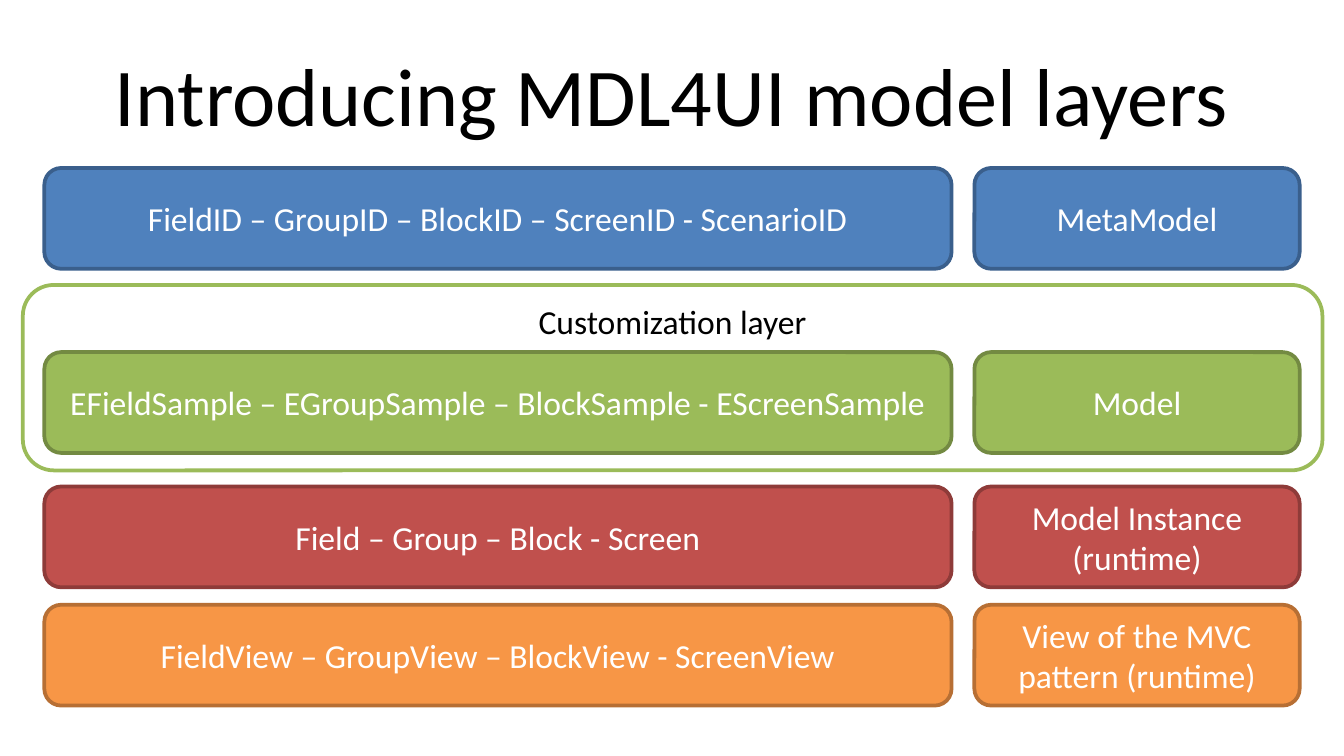
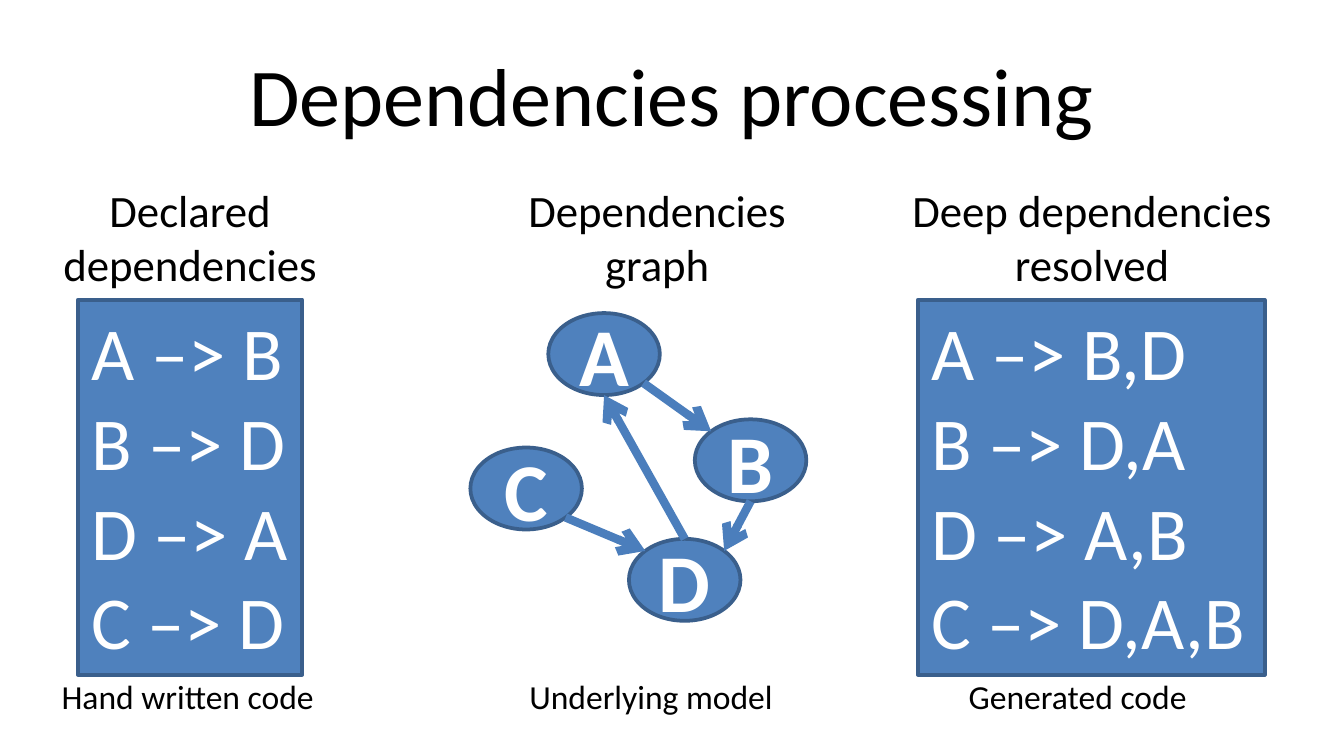
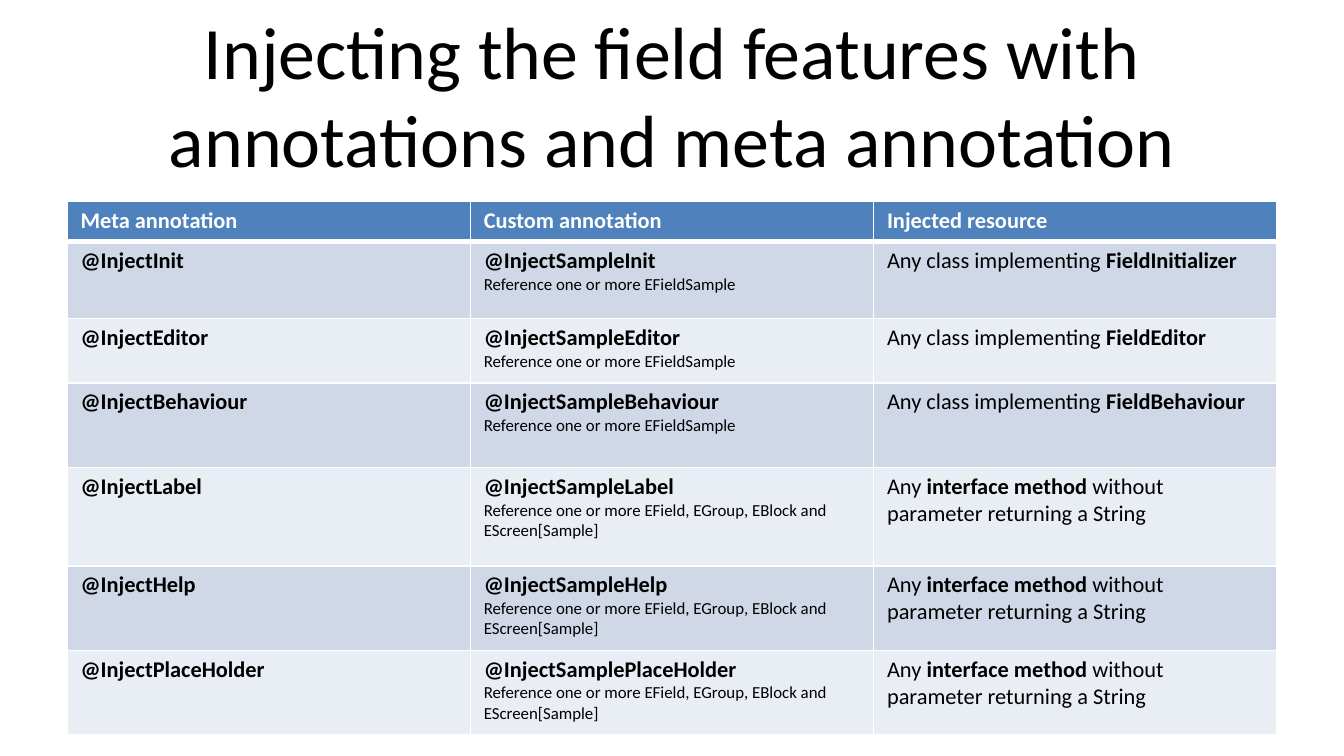
from dataclasses import dataclass
from math import cos, radians, sin

from lxml.etree import SubElement
from pptx import Presentation
from pptx.dml.color import RGBColor as Color
from pptx.enum.shapes import MSO_CONNECTOR as Connector, MSO_SHAPE as Shape
from pptx.enum.text import MSO_ANCHOR as Anchor, MSO_AUTO_SIZE as Fit, PP_ALIGN as Align
from pptx.oxml.ns import qn
from pptx.util import Inches, Pt


@dataclass(frozen=True)
class Theme:
    font: str = "Calibri"
    white: str = "FFFFFF"
    black: str = "000000"
    blue: tuple = ("4F81BD", "3A5F8C")
    green: tuple = ("9BBB59", "738A42")
    red: tuple = ("C0504D", "8E3B39")
    orange: tuple = ("F79646", "B76F34")
    outline: tuple = ("FFFFFF", "9BBB59")
    arrow: str = "4B7EBC"
    bands: tuple = ("D0D8E8", "E9EDF4")
    title: float = 44
    long_title: float = 39.6
    code: float = 40
    heading: float = 24
    body: float = 18
    cell: float = 12
    note: float = 9


theme = Theme()


def write(frame, lines, size, color, align=Align.CENTER, bold=False, **settings):
    for name, value in settings.items():
        setattr(frame, name, value)
    for index, line in enumerate(lines):
        para = frame.add_paragraph() if index else frame.paragraphs[0]
        para.alignment = align
        for text, changes in [(line, {})] if isinstance(line, str) else line:
            span = para.add_run()
            span.text = text
            look = {"name": theme.font, "size": Pt(size), "bold": bold} | changes
            for name, value in look.items():
                setattr(span.font, name, value)
            span.font.color.rgb = Color.from_string(color)


def add_box(shapes, kind, place, colors, lines, size, color=theme.white, **options):
    box = shapes.add_shape(kind, *map(Inches, place))
    box.shadow.inherit = False
    fill, edge = colors
    box.fill.solid()
    box.fill.fore_color.rgb = Color.from_string(fill)
    box.line.color.rgb = Color.from_string(edge)
    box.line.width = Pt(2)
    write(box.text_frame, lines, size, color, **options)


deck = Presentation()
deck.slide_width, deck.slide_height = Inches(10), Inches(10 * 9 / 16)

pages = []
for text, size in [
    ("Introducing MDL4UI model layers", theme.title),
    ("Dependencies processing", theme.title),
    ("Injecting the field features with annotations and meta annotation", theme.long_title),
]:
    page = deck.slides.add_slide(deck.slide_layouts[5])
    title = page.shapes.title
    title.left, title.top, title.width, title.height = map(Inches, (0.5, 0.23, 9, 0.94))
    write(title.text_frame, [text], size, theme.black,
          vertical_anchor=Anchor.MIDDLE, auto_size=Fit.NONE, word_wrap=True)
    pages.append(page)
layers_page, graph_page, table_page = pages

add_box(layers_page.shapes, Shape.ROUNDED_RECTANGLE, (0.17, 2.12, 9.67, 1.38),
        theme.outline, ["Customization layer"], theme.body, theme.black,
        vertical_anchor=Anchor.TOP)
for top, colors, parts, layer in [
    (1.25, theme.blue, "FieldID – GroupID – BlockID – ScreenID - ScenarioID", "MetaModel"),
    (2.62, theme.green, "EFieldSample – EGroupSample – BlockSample - EScreenSample", "Model"),
    (3.62, theme.red, "Field – Group – Block - Screen", "Model Instance (runtime)"),
    (4.5, theme.orange, "FieldView – GroupView – BlockView - ScreenView",
     "View of the MVC pattern (runtime)"),
]:
    for left, width, text in [(0.33, 6.75, parts), (7.25, 2.42, layer)]:
        add_box(layers_page.shapes, Shape.ROUNDED_RECTANGLE, (left, top, width, 0.75),
                colors, [text], theme.body, vertical_anchor=Anchor.MIDDLE)

graph = graph_page.shapes.add_group_shape()
node_width, node_height = 0.83, 0.61
nodes = {"A": (4.08, 2.33), "B": (5.17, 3.12), "C": (3.5, 3.33), "D": (4.68, 4.01)}
for name, corner in nodes.items():
    add_box(graph.shapes, Shape.OVAL, (*corner, node_width, node_height),
            theme.blue, [name], theme.title, bold=True, vertical_anchor=Anchor.MIDDLE)

for source, source_angle, target, target_angle in [
    ("A", 45, "B", 225), ("B", 90, "D", 315), ("C", 45, "D", 225), ("D", 270, "A", 90),
]:
    ends = []
    for name, angle in [(source, source_angle), (target, target_angle)]:
        left, top = nodes[name]
        ends += [Inches(left + node_width / 2 * (1 + cos(radians(angle)))),
                 Inches(top + node_height / 2 * (1 + sin(radians(angle))))]
    arrow = graph.shapes.add_connector(Connector.STRAIGHT, *ends)
    arrow.line.color.rgb = Color.from_string(theme.arrow)
    arrow.line.width = Pt(4.5)
    SubElement(arrow.line._get_or_add_ln(), qn("a:tailEnd"), type="arrow")
    SubElement(arrow._element.spPr, qn("a:effectLst"))

for left, width, lines in [
    (6.83, 2.58, ["A –> B,D", "B –> D,A", "D –> A,B", "C –> D,A,B"]),
    (0.58, 1.67, ["A –> B", "B –> D", "D –> A", "C –> D"]),
]:
    add_box(graph_page.shapes, Shape.RECTANGLE, (left, 2.23, width, 2.79), theme.blue,
            lines, theme.code, align=Align.LEFT, vertical_anchor=Anchor.TOP,
            auto_size=Fit.SHAPE_TO_FIT_TEXT)

heading_row = (1.31, 0.91, theme.heading, Align.CENTER)
caption_row = (4.98, 0.4, theme.body, Align.LEFT)
for left, width, lines, wrap, row in [
    (0.36, 2.11, ["Declared", "dependencies"], False, heading_row),
    (6.53, 3.19, ["Deep dependencies resolved"], True, heading_row),
    (3.82, 2.14, ["Dependencies", "graph"], False, heading_row),
    (0.36, 2.11, ["Hand written code"], False, caption_row),
    (3.84, 2.04, ["Underlying model"], False, caption_row),
    (7.11, 1.84, ["Generated code"], False, caption_row),
]:
    top, height, size, align = row
    label = graph_page.shapes.add_textbox(*map(Inches, (left, top, width, height)))
    write(label.text_frame, lines, size, theme.black, align,
          word_wrap=wrap, auto_size=Fit.SHAPE_TO_FIT_TEXT)

strong = {"bold": True}
note = {"size": Pt(theme.note)}
field_note = "Reference one or more EFieldSample"
element_note = "Reference one or more EField, EGroup, EBlock and EScreen[Sample]"
method = [("Any ", {}), ("interface method ", strong),
          ("without parameter returning a String", {})]
rows = [(0.3, [[[(text, strong)]] for text in
               ("Meta annotation", "Custom annotation", "Injected resource")])]
for name, height, reference, resource in [
    ("Init", 0.57, field_note, "FieldInitializer"),
    ("Editor", 0.48, field_note, "FieldEditor"),
    ("Behaviour", 0.63, field_note, "FieldBehaviour"),
    ("Label", 0.73, element_note, None),
    ("Help", 0.63, element_note, None),
    ("PlaceHolder", 0.63, element_note, None),
]:
    injected = [("Any class implementing ", {}), (resource, strong)] if resource else method
    rows.append((height, [
        [[(f"@Inject{name}", strong)]],
        [[(f"@InjectSample{name}", strong)], [(reference, note)]],
        [injected],
    ]))

table = table_page.shapes.add_table(len(rows), 3, *map(Inches, (0.5, 1.5, 9, 3.97))).table
for row_index, (height, texts) in enumerate(rows):
    table.rows[row_index].height = Inches(height)
    header = row_index == 0
    fill = theme.blue[0] if header else theme.bands[(row_index - 1) % 2]
    for column_index, lines in enumerate(texts):
        cell = table.cell(row_index, column_index)
        for side, inset in [("left", 0.1), ("right", 0.1), ("top", 0.04), ("bottom", 0.04)]:
            setattr(cell, f"margin_{side}", Inches(inset))
        write(cell.text_frame, lines, theme.cell,
              theme.white if header else theme.black, Align.LEFT)
        properties = cell._tc.get_or_add_tcPr()
        for side in "LRTB":
            thick = (header and side == "B") or (row_index == 1 and side == "T")
            border = SubElement(properties, qn(f"a:ln{side}"), w=str(Pt(3 if thick else 1)))
            SubElement(SubElement(border, qn("a:solidFill")), qn("a:srgbClr"), val=theme.white)
        cell.fill.solid()
        cell.fill.fore_color.rgb = Color.from_string(fill)

deck.save("out.pptx")
